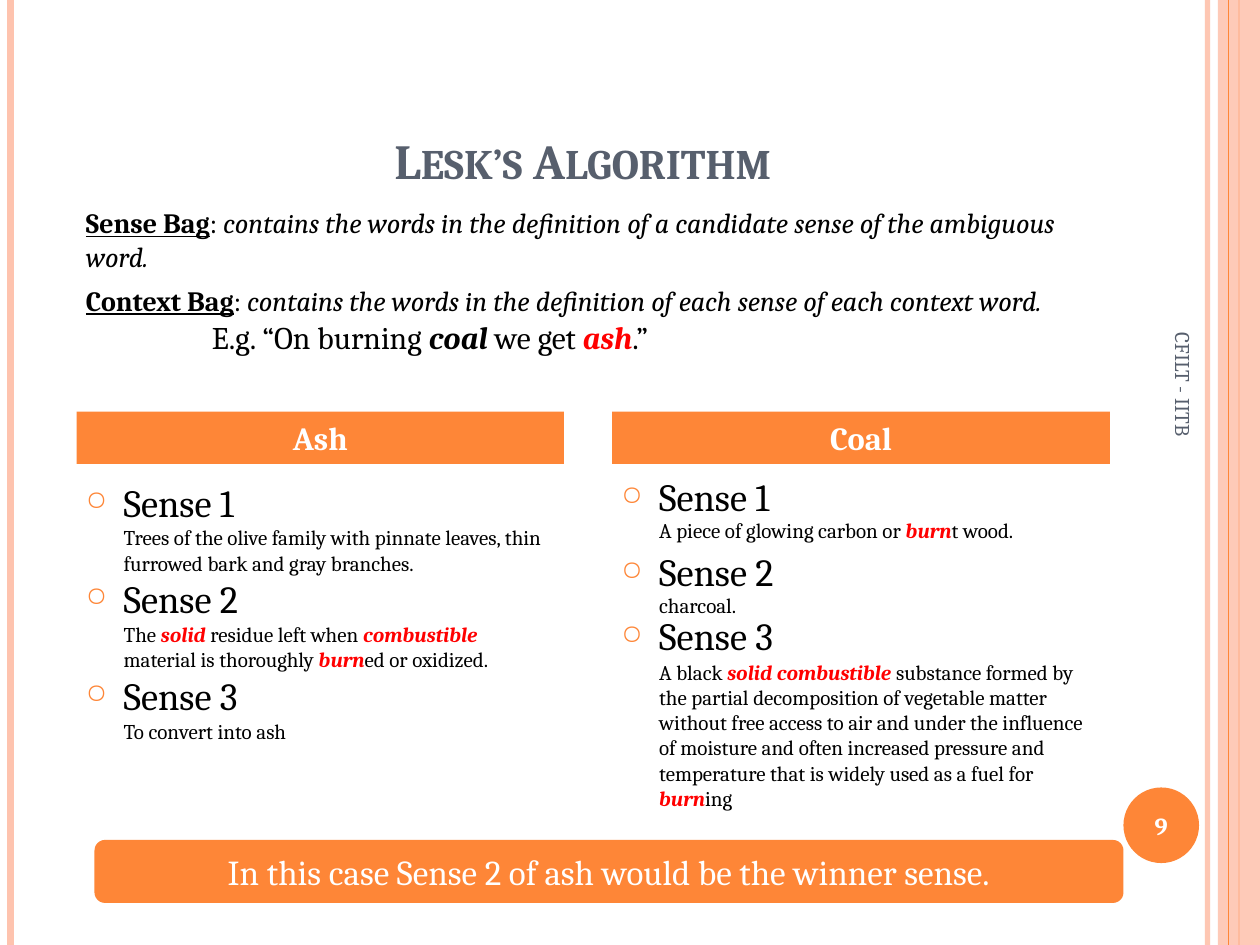
from dataclasses import dataclass
from lxml.etree import SubElement
from pptx import Presentation
from pptx.dml.color import RGBColor
from pptx.enum.shapes import MSO_CONNECTOR, MSO_SHAPE
from pptx.enum.text import MSO_ANCHOR, PP_ALIGN
from pptx.oxml.ns import qn
from pptx.util import Inches, Pt


@dataclass(frozen=True)
class Theme:
    font: str = "Cambria"
    orange: str = "FE8637"
    peach: str = "FEC3AE"
    slate: str = "575F6D"
    black: str = "000000"
    white: str = "FFFFFF"
    red: str = "FF0000"
    title: float = 28
    caps: float = 24
    sense: float = 22
    banner: float = 20
    header: float = 18.5
    example: float = 18
    intro: float = 16
    page: float = 14
    small: float = 12


T = Theme()
COLS, ROWS = 120, 90
WIDTH, HEIGHT = Inches(10), Inches(7.5)
CENTER = {"alignment": PP_ALIGN.CENTER}
BOLD = {"bold": True}
ITALIC = {"italic": True}
TERM = {"bold": True, "underline": True}
STRONG = {"bold": True, "italic": True}
KEY = {**STRONG, "color": T.red}


def place(x, y, w, h):
    return [int(v) for v in (x * WIDTH / COLS, y * HEIGHT / ROWS,
                             w * WIDTH / COLS, h * HEIGHT / ROWS)]


def set_alpha(fill, percent):
    color = next(fill.iter(qn("a:srgbClr")))
    SubElement(color, qn("a:alpha"), val=str(percent * 1000))


def add_rule(s, col, color, width, alpha=100):
    x, _, _, h = place(col, 0, 0, ROWS)
    line = s.shapes.add_connector(MSO_CONNECTOR.STRAIGHT, x, 0, x, h)
    line.line.color.rgb = RGBColor.from_string(color)
    line.line.width = Pt(width)
    if alpha < 100:
        set_alpha(line.line._ln, alpha)
    SubElement(line._element.spPr, qn("a:effectLst"))


def add_block(s, box, kind, color):
    sp = s.shapes.add_shape(kind, *place(*box))
    sp.shadow.inherit = False
    sp.fill.solid()
    sp.fill.fore_color.rgb = RGBColor.from_string(color)
    sp.line.fill.background()
    return sp


def add_bullet(p):
    pPr = p._p.get_or_add_pPr()
    pPr.set("indent", str(-Inches(0.3)))
    color = SubElement(pPr, qn("a:buClr"))
    SubElement(color, qn("a:srgbClr"), val=T.orange)
    SubElement(pPr, qn("a:buSzPct"), val="70000")
    SubElement(pPr, qn("a:buChar"), char="○")


def add_runs(p, runs, size, color):
    for text, style in runs:
        r = p.add_run()
        r.text = text
        look = {"name": T.font, "size": size, "color": color, **style}
        r.font.color.rgb = RGBColor.from_string(look.pop("color"))
        look["size"] = Pt(look["size"])
        for key, value in look.items():
            setattr(r.font, key, value)


def fill_text(sp, paragraphs, color=T.black, anchor=MSO_ANCHOR.TOP):
    tf = sp.text_frame
    tf.word_wrap = True
    tf.vertical_anchor = anchor
    for i, (runs, size, layout) in enumerate(paragraphs):
        p = tf.paragraphs[0] if i == 0 else tf.add_paragraph()
        layout = dict(layout)
        margin = layout.pop("margin", 0)
        if margin:
            p._p.get_or_add_pPr().set("marL", str(Inches(margin)))
        if layout.pop("bullet", False):
            add_bullet(p)
        for key, value in layout.items():
            setattr(p, key, value)
        add_runs(p, runs, size, color)


def add_text(s, box, paragraphs, **look):
    sp = s.shapes.add_textbox(*place(*box))
    fill_text(sp, paragraphs, **look)
    return sp


def add_label(s, box, kind, text, size, style):
    sp = add_block(s, box, kind, T.orange)
    fill_text(sp, [([(text, style)], size, CENTER)], T.white, MSO_ANCHOR.MIDDLE)
    return sp


def draw_frame(s, box):
    x, y, w, h = box
    add_rule(s, x + w - 5, T.peach, 3, 93)
    add_rule(s, x + 1, T.peach, 4.5)
    add_rule(s, x + w - 2, T.orange, 1.5)
    band = add_block(s, (x + w - 4, y, 4, h), MSO_SHAPE.RECTANGLE, T.peach)
    set_alpha(band._element.spPr, 87)
    add_rule(s, x + w - 3, T.orange, 0.75)


def draw_footer(s, box):
    x, y, w, h = box
    badge = add_label(s, box, MSO_SHAPE.OVAL, "9", T.page, BOLD)
    for side in ("left", "right", "top", "bottom"):
        setattr(badge.text_frame, f"margin_{side}", 0)
    footer = add_text(s, (x - 15.3, y - 25.9, 42, 4.8),
                      [([("CFILT - IITB", {})], T.small, {})],
                      color=T.slate, anchor=MSO_ANCHOR.MIDDLE)
    footer.rotation = 90


def draw_title(s, box):
    parts = [("L", T.title), ("ESK’S", T.caps), (" A", T.title), ("LGORITHM", T.caps)]
    runs = [(text, {"size": size, **BOLD}) for text, size in parts]
    add_text(s, box, [(runs, T.title, CENTER)], color=T.slate, anchor=MSO_ANCHOR.BOTTOM)


def draw_intro(s, box):
    bags = [("Sense Bag", "contains the words in the definition of a candidate sense of the ambiguous word."),
            ("Context Bag", "contains the words in the definition of each sense of each context word.")]
    paragraphs = [([(term, TERM), (": ", {}), (text, ITALIC)], T.intro,
                   {"space_before": Pt(6 if i else 0)})
                  for i, (term, text) in enumerate(bags)]
    example = [("E.g. “On burning ", {}), ("coal", STRONG), (" we get ", {}), ("ash", KEY), (".”", {})]
    paragraphs.append((example, T.example, {"margin": 1, "line_spacing": 1.02}))
    add_text(s, box, paragraphs)


def draw_senses(s, box, word, senses, spacing, gaps):
    x, y, w, _ = box
    paragraphs = []
    for i, (definition, gap) in enumerate(zip(senses, gaps), 1):
        head = {"margin": 0.3, "bullet": True, "line_spacing": spacing, "space_before": Pt(gap)}
        body = {"margin": 0.3, "line_spacing": 1.0 if i == len(senses) else spacing}
        runs = [(text, KEY if j % 2 else {}) for j, text in enumerate(definition.split("*"))]
        paragraphs += [([(f"Sense {i}", {})], T.sense, head), (runs, T.small, body)]
    add_text(s, box, paragraphs)
    add_label(s, (x + 0.3, y - 5.8, w - 0.6, 5), MSO_SHAPE.RECTANGLE, word, T.header, BOLD)


ASH = ["Trees of the olive family with pinnate leaves, thin furrowed bark and gray branches.",
       "The *solid* residue left when *combustible* material is thoroughly *burn*ed or oxidized.",
       "To convert into ash"]
COAL = ["A piece of glowing carbon or *burn*t wood.",
        "charcoal.",
        "A black *solid combustible* substance formed by the partial decomposition of vegetable matter "
        "without free access to air and under the influence of moisture and often increased pressure "
        "and temperature that is widely used as a fuel for *burn*ing"]


def main():
    prs = Presentation()
    prs.slide_width, prs.slide_height = WIDTH, HEIGHT
    s = prs.slides.add_slide(prs.slide_layouts[6])
    draw_frame(s, (0, 0, COLS, ROWS))
    draw_footer(s, (107, 75, 7.2, 7.2))
    draw_title(s, (6, 3.6, 99, 15))
    draw_senses(s, (7, 45, 47, 32), "Ash", ASH, 1.0, (0, 0, 0))
    draw_senses(s, (58, 45, 48, 34), "Coal", COAL, 0.9, (0, 6, 0))
    draw_intro(s, (7, 19, 99, 18.7))
    add_label(s, (9, 80, 98, 6), MSO_SHAPE.ROUNDED_RECTANGLE,
              "In this case Sense 2 of ash would be the winner sense.", T.banner, {})
    prs.save("out.pptx")


if __name__ == "__main__":
    main()
